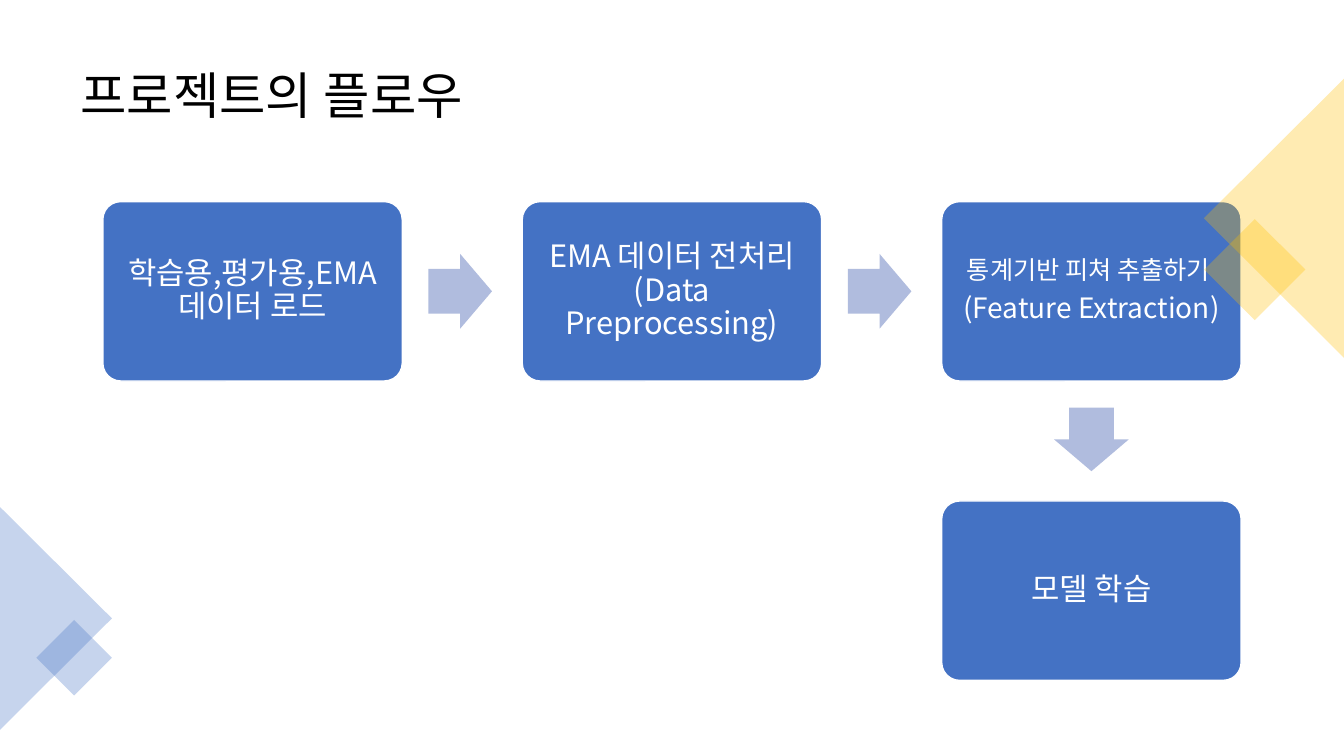
from lxml import etree
from pptx import Presentation
from pptx.dml.color import RGBColor
from pptx.enum.shapes import MSO_SHAPE as Shape
from pptx.enum.text import MSO_ANCHOR as Anchor, PP_ALIGN as Align
from pptx.oxml.ns import qn
from pptx.util import Inches, Pt

FONT = "Noto Sans CJK KR"
BLUE, YELLOW, PALE, WHITE = "4472C4", "FFC000", "B0BCDE", "FFFFFF"

prs = Presentation()
prs.slide_width, prs.slide_height = Inches(13.33), Inches(7.5)
slide = prs.slides.add_slide(prs.slide_layouts[6])


def write(frame, lines, align=Align.LEFT, margins=(0.1, 0.05), after=0, color=WHITE):
    """Fill a text frame with (text, size) lines."""
    frame.word_wrap = True
    frame.vertical_anchor = Anchor.MIDDLE
    frame.margin_left = frame.margin_right = Inches(margins[0])
    frame.margin_top = frame.margin_bottom = Inches(margins[1])
    for i, (text, size) in enumerate(lines):
        para = frame.paragraphs[0] if i == 0 else frame.add_paragraph()
        para.alignment, para.line_spacing = align, 0.9
        para.space_after = Pt(after * size)
        run = para.add_run()
        run.text = text
        run.font.name, run.font.size = FONT, Pt(size)
        run.font.color.rgb = RGBColor.from_string(color)
        etree.SubElement(run.font._element, qn("a:ea"), typeface=FONT)


def draw(kind, center, size, fill, turn=0, opacity=100, outline=None):
    """Add a preset shape around a center point."""
    (x, y), (w, h) = center, size
    shape = slide.shapes.add_shape(
        kind, Inches(x - w / 2), Inches(y - h / 2), Inches(w), Inches(h))
    shape.rotation = turn
    shape.shadow.inherit = False
    shape.fill.solid()
    shape.fill.fore_color.rgb = RGBColor.from_string(fill)
    if opacity < 100:
        color = shape.fill._xPr.find(".//" + qn("a:srgbClr"))
        etree.SubElement(color, qn("a:alpha"), val=str(opacity * 1000))
    if outline:
        shape.line.color.rgb = RGBColor.from_string(outline)
        shape.line.width = Pt(1)
    else:
        shape.line.fill.background()
    return shape


# Title
title = slide.shapes.add_textbox(Inches(0.7), Inches(0.35), Inches(11.93), Inches(1.24))
write(title.text_frame, [("프로젝트의 플로우", 36)], color="000000")

# Flow: grid cell (column, row), turn of the arrow that leaves it, text margin, lines
STEP = (2.97, 1.78)
ARROW = (0.63, 0.74)
FIRST, PITCH = (2.505, 2.89), (4.16, 2.97)
flow = [
    (0, 0, 0, 0.09, [("학습용,평가용,EMA데이터 로드", 22)]),
    (1, 0, 0, 0.09, [("EMA 데이터 전처리 (Data Preprocessing)", 22)]),
    (2, 0, 90, 0.07, [("통계기반 피쳐 추출하기 ", 18), ("(Feature Extraction)", 20)]),
    (2, 1, None, 0.09, [("모델 학습", 22)]),
]
for column, row, turn, margin, lines in flow:
    x, y = FIRST[0] + column * PITCH[0], FIRST[1] + row * PITCH[1]
    step = draw(Shape.ROUNDED_RECTANGLE, (x, y), STEP, BLUE, outline=WHITE)
    step.adjustments[0] = 0.1
    write(step.text_frame, lines, Align.CENTER, (margin, margin), after=0.35)
    if turn is not None:
        center = (x, y + 1.47) if turn else (x + 2.06, y)
        arrow = draw(Shape.RIGHT_ARROW, center, ARROW, PALE, turn)
        arrow.adjustments[0], arrow.adjustments[1] = 0.6, 0.5

# Corner ornaments: translucent triangles and diamonds at the slide edges
ornaments = [
    (Shape.RECTANGLE, (12.445, 2.675), (0.71, 0.71), YELLOW, 45),
    (Shape.ISOSCELES_TRIANGLE, (12.635, 2.165), (2.77, 1.39), YELLOW, 270),
    (Shape.ISOSCELES_TRIANGLE, (0.555, 6.135), (2.21, 1.11), BLUE, 90),
    (Shape.RECTANGLE, (0.735, 6.525), (0.53, 0.53), BLUE, 45),
]
for kind, center, size, fill, turn in ornaments:
    draw(kind, center, size, fill, turn, opacity=30)

prs.save("out.pptx")
